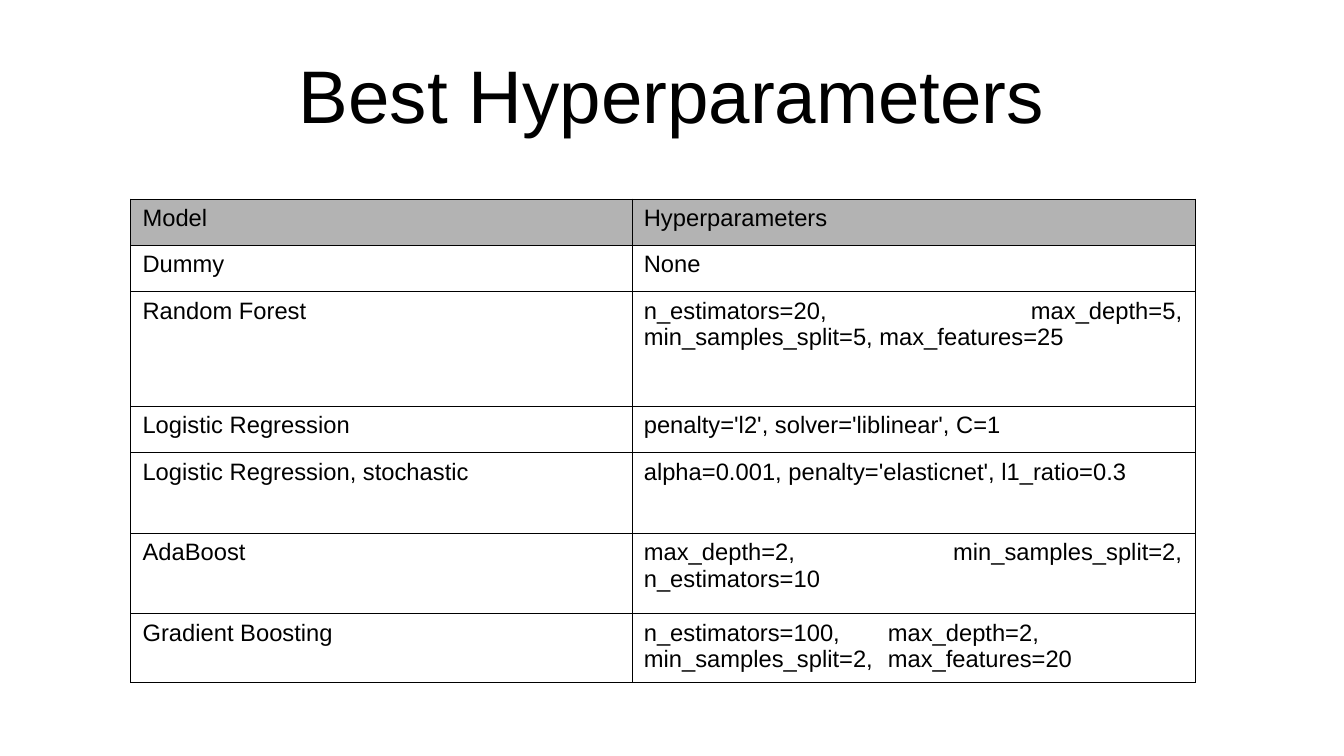
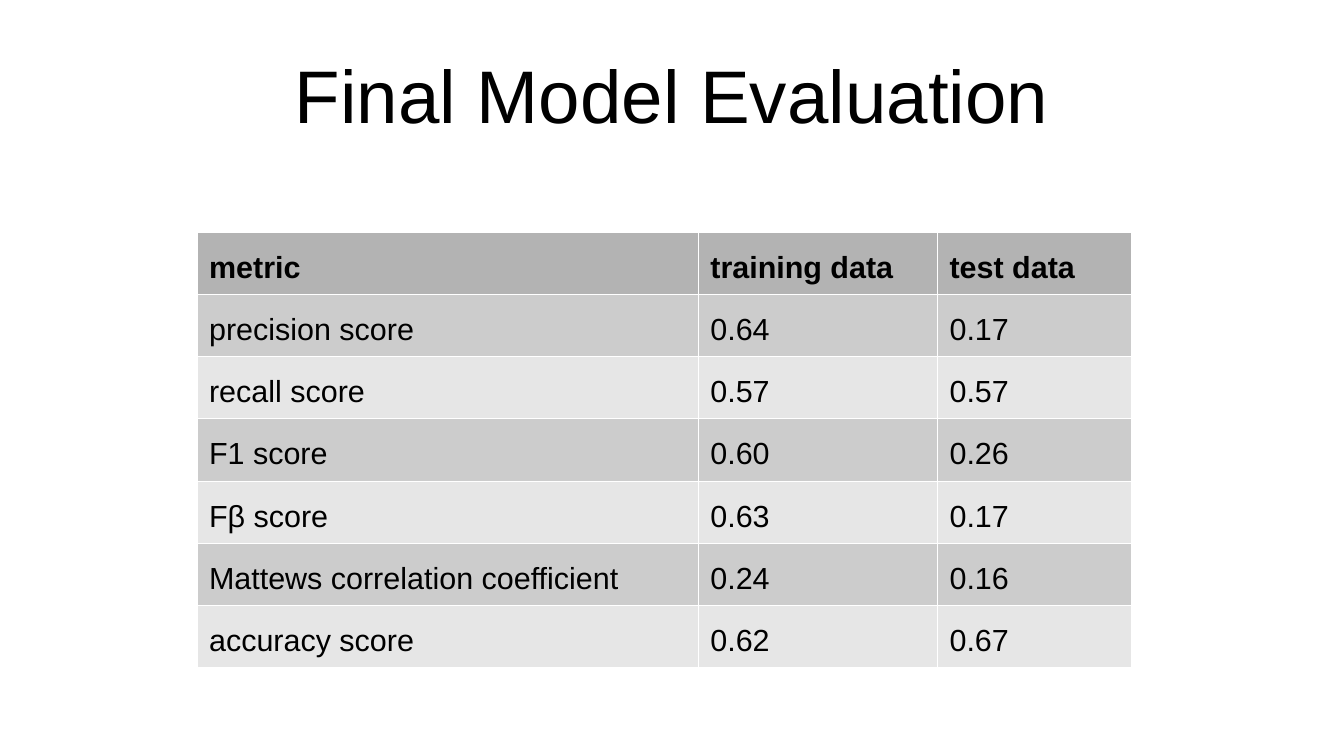
from dataclasses import dataclass
from typing import Optional

from lxml.etree import SubElement
from pptx import Presentation
from pptx.dml.color import RGBColor
from pptx.enum.text import MSO_ANCHOR as Anchor, MSO_AUTO_SIZE as AutoSize, PP_ALIGN as Align
from pptx.oxml.ns import qn
from pptx.util import Inches, Pt

WIDTH, HEIGHT = Inches(11.02), Inches(6.2)
FONT = "Arial"
COLORS = {
    "text": "000000",
    "paper": "FFFFFF",
    "header": "B3B3B3",
    "odd_band": "CCCCCC",
    "even_band": "E6E6E6",
}
NO_TABLE_STYLE = "{2D5ABB26-0587-4C30-8999-92F81FD0307C}"
TITLE_ONLY = 5
BORDER_WIDTH = Pt(0.06)
TAB_STOP = Inches(2)


@dataclass(frozen=True)
class TableSlide:
    title: str
    left: float
    top: float
    columns: tuple[float, ...]
    row_heights: tuple[float, ...]
    rows: tuple[tuple[str, ...], ...]
    size: int
    border: str
    bands: tuple[str, ...] = ()
    bold_header: bool = False
    line_spacing: Optional[float] = None


HYPERPARAMETERS = TableSlide(
    title="Best Hyperparameters",
    left=9.7,
    top=26.3,
    columns=(37.3, 41.9),
    row_heights=(6.13, 6.13, 15.16, 6.13, 10.65, 10.65, 9.15),
    rows=(
        ("Model", "Hyperparameters"),
        ("Dummy", "None"),
        ("Random Forest", "n_estimators=20, max_depth=5, min_samples_split=5, max_features=25"),
        ("Logistic Regression", "penalty='l2', solver='liblinear', C=1"),
        ("Logistic Regression, stochastic", "alpha=0.001, penalty='elasticnet', l1_ratio=0.3"),
        ("AdaBoost", "max_depth=2, min_samples_split=2, n_estimators=10"),
        ("Gradient Boosting", "n_estimators=100,\tmax_depth=2, min_samples_split=2,\tmax_features=20"),
    ),
    size=14,
    border="text",
)

EVALUATION = TableSlide(
    title="Final Model Evaluation",
    left=14.65,
    top=30.65,
    columns=(37.3, 17.8, 14.4),
    row_heights=(8.24,) * 7,
    rows=(
        ("metric", "training data", "test data"),
        ("precision score", "0.64", "0.17"),
        ("recall score", "0.57", "0.57"),
        ("F1 score", "0.60", "0.26"),
        ("Fβ score", "0.63", "0.17"),
        ("Mattews correlation coefficient", "0.24", "0.16"),
        ("accuracy score", "0.62", "0.67"),
    ),
    size=18,
    border="paper",
    bands=("odd_band", "even_band"),
    bold_header=True,
    line_spacing=1.37,
)


def across(percent: float) -> int:
    return round(WIDTH * percent / 100)


def down(percent: float) -> int:
    return round(HEIGHT * percent / 100)


def style_paragraph(paragraph, size: int, align, bold: bool = False) -> None:
    paragraph.alignment = align
    font = paragraph.font
    font.name, font.size, font.bold = FONT, Pt(size), bold
    font.color.rgb = RGBColor.from_string(COLORS["text"])


def add_title(slide, text: str) -> None:
    title = slide.shapes.title
    title.left, title.top = across(5), down(4)
    title.width, title.height = across(90), down(16.8)
    frame = title.text_frame
    frame.text = text
    frame.word_wrap = True
    frame.auto_size = AutoSize.NONE
    frame.vertical_anchor = Anchor.MIDDLE
    frame.margin_left = frame.margin_right = frame.margin_top = frame.margin_bottom = 0
    style_paragraph(frame.paragraphs[0], 44, Align.CENTER)


def add_borders(cell, color: str) -> None:
    properties = cell._tc.get_or_add_tcPr()
    for side in ("a:lnL", "a:lnR", "a:lnT", "a:lnB"):
        line = SubElement(properties, qn(side), w=str(BORDER_WIDTH))
        fill = SubElement(line, qn("a:solidFill"))
        SubElement(fill, qn("a:srgbClr"), val=COLORS[color])


def add_tab_stop(paragraph) -> None:
    properties = paragraph._p.get_or_add_pPr()
    stops = SubElement(properties, qn("a:tabLst"))
    SubElement(stops, qn("a:tab"), pos=str(TAB_STOP), algn="l")


def fill_cell(cell, text: str, row: int, content: TableSlide) -> None:
    add_borders(cell, content.border)
    if row == 0:
        band = "header"
    elif content.bands:
        band = content.bands[(row - 1) % len(content.bands)]
    else:
        band = None
    if band:
        cell.fill.solid()
        cell.fill.fore_color.rgb = RGBColor.from_string(COLORS[band])
    else:
        cell.fill.background()
    cell.text = text
    paragraph = cell.text_frame.paragraphs[0]
    if content.line_spacing:
        paragraph.line_spacing = content.line_spacing
    tabbed = "\t" in text
    if tabbed:
        add_tab_stop(paragraph)
    align = Align.LEFT if tabbed else Align.JUSTIFY
    style_paragraph(paragraph, content.size, align, content.bold_header and row == 0)


def add_data_table(slide, content: TableSlide) -> None:
    frame = slide.shapes.add_table(
        len(content.rows), len(content.columns),
        across(content.left), down(content.top),
        across(sum(content.columns)), down(sum(content.row_heights)),
    )
    for style in frame.element.iter(qn("a:tableStyleId")):
        style.text = NO_TABLE_STYLE
    table = frame.table
    table.horz_banding = False
    for column, width in zip(table.columns, content.columns):
        column.width = across(width)
    for row, height in zip(table.rows, content.row_heights):
        row.height = down(height)
    for row, texts in enumerate(content.rows):
        for column, text in enumerate(texts):
            fill_cell(table.cell(row, column), text, row, content)


def main() -> None:
    deck = Presentation()
    deck.slide_width, deck.slide_height = WIDTH, HEIGHT
    for content in (HYPERPARAMETERS, EVALUATION):
        slide = deck.slides.add_slide(deck.slide_layouts[TITLE_ONLY])
        add_title(slide, content.title)
        add_data_table(slide, content)
    deck.save("out.pptx")


if __name__ == "__main__":
    main()
